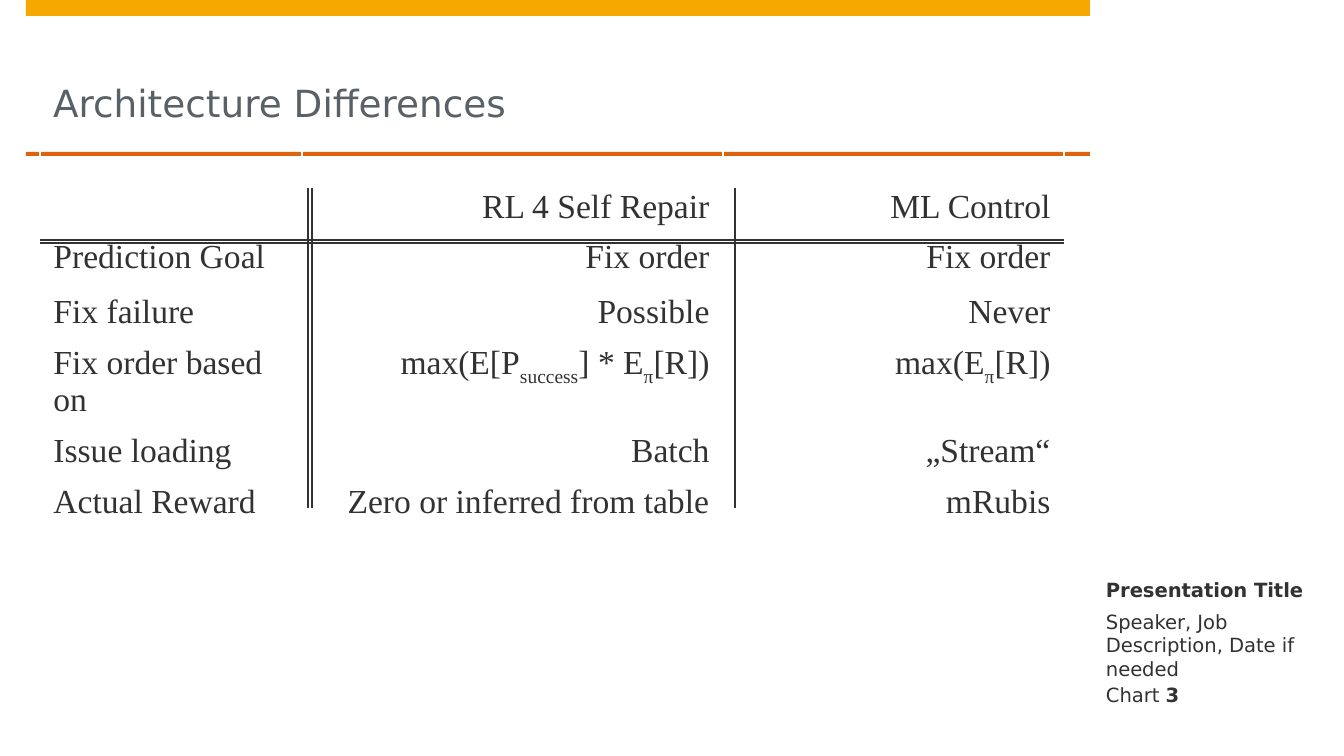
from lxml import etree
from pptx import Presentation
from pptx import util as u
from pptx.dml.color import RGBColor
from pptx.enum import shapes, text
from pptx.oxml.ns import qn

SCALE = 914400 / 134.4  # EMU in one px
COLORS = {"bar": "F6A800", "rule": "DD640C", "title": "5A6166",
          "text": "323232"}
SANS, SERIF = "DejaVu Sans", "Times New Roman"
LEFT, RIGHT = text.PP_ALIGN.LEFT, text.PP_ALIGN.RIGHT
TOP, BOTTOM = text.MSO_ANCHOR.TOP, text.MSO_ANCHOR.BOTTOM

# Parts between underscores are subscripts
ROWS = [
    ("", "RL 4 Self Repair", "ML Control"),
    ("Prediction Goal", "Fix order", "Fix order"),
    ("Fix failure", "Possible", "Never"),
    ("Fix order based on", "max(E[P_success_] * E_π_[R])", "max(E_π_[R])"),
    ("Issue loading", "Batch", "„Stream“"),
    ("Actual Reward", "Zero or inferred from table", "mRubis"),
]
WIDTHS = (262, 421, 341)
HEIGHTS = (88, 55, 51, 88, 51, 51)
GRID_X, GRID_Y = 40, 144


def px(n):
    return u.Emu(round(n * SCALE))


def box(*nums):
    return [px(n) for n in nums]


def rgb(name):
    return RGBColor.from_string(COLORS[name])


def apply(obj, form):
    for key, val in form.items():
        setattr(obj, key, val)


def add_run(para, words, face, size, color="text", bold=False):
    run = para.add_run()
    run.text = words
    apply(run.font, {"name": face, "size": u.Pt(size), "bold": bold})
    run.font.color.rgb = rgb(color)
    return run


def set_frame(frame, left, bottom, anchor):
    apply(frame, {
        "word_wrap": True, "auto_size": text.MSO_AUTO_SIZE.NONE,
        "margin_left": px(left), "margin_top": 0, "margin_right": 0,
        "margin_bottom": px(bottom), "vertical_anchor": anchor})


def add_bar(slide, y, high, color):
    bar = slide.shapes.add_shape(shapes.MSO_SHAPE.RECTANGLE,
                                 *box(26, y, 1064, high))
    bar.shadow.inherit = False
    bar.fill.solid()
    bar.fill.fore_color.rgb = rgb(color)
    bar.line.fill.background()


def set_title(slide, words):
    title = slide.shapes.title
    spots = box(53, 16, 1011, 136)
    apply(title, dict(zip(("left", "top", "width", "height"), spots)))
    set_frame(title.text_frame, 0, 27, BOTTOM)
    para = title.text_frame.paragraphs[0]
    para.alignment = LEFT
    add_run(para, words, SANS, 20, "title")


def add_note(slide, y, high, anchor, *runs):
    frame = slide.shapes.add_textbox(*box(1090, y, 227, high)).text_frame
    set_frame(frame, 16, 0, anchor)
    for words, bold in runs:
        add_run(frame.paragraphs[0], words, SANS, 10.5, bold=bold)


def fill_cell(cell, words, align, anchor):
    cell.fill.background()
    cell.vertical_anchor = anchor
    para = cell.text_frame.paragraphs[0]
    para.alignment = align
    for i, part in enumerate(words.split("_")):
        if part:
            run = add_run(para, part, SERIF, 18)
            if i % 2:
                run.font._element.set("baseline", "-25000")


def add_grid(slide):
    spots = box(GRID_X, GRID_Y, sum(WIDTHS), sum(HEIGHTS))
    table = slide.shapes.add_table(len(ROWS), len(WIDTHS), *spots).table
    apply(table, {"first_row": False, "horz_banding": False})
    for col, wide in zip(table.columns, WIDTHS):
        col.width = px(wide)
    for r, (row, high) in enumerate(zip(ROWS, HEIGHTS)):
        table.rows[r].height = px(high)
        for c, words in enumerate(row):
            fill_cell(table.cell(r, c), words, RIGHT if c else LEFT,
                      TOP if r else BOTTOM)


def add_line(slide, *ends):
    line = slide.shapes.add_connector(shapes.MSO_CONNECTOR.STRAIGHT,
                                      *box(*ends))
    line.line.width = u.Pt(0.75)
    line.line.color.rgb = rgb("text")
    etree.SubElement(line._element.spPr, qn("a:effectLst"))


def main():
    deck = Presentation()
    apply(deck, {"slide_width": px(1344), "slide_height": px(756)})
    slide = deck.slides.add_slide(deck.slide_layouts[5])

    # Frame and heading
    add_bar(slide, 0, 16, "bar")
    add_bar(slide, 152, 4, "rule")
    set_title(slide, "Architecture Differences")

    # Side notes
    add_note(slide, 610, 69, TOP,
             ("Speaker, Job Description, Date if needed", False))
    add_note(slide, 524, 77, BOTTOM, ("Presentation Title", True))
    add_note(slide, 680, 27, BOTTOM, ("Chart ", False), ("3", True))

    # Table with its ruling
    add_grid(slide)
    for x in (308, 312, 735):
        add_line(slide, x, 188, x, 508)
    for y in (240, 243):
        add_line(slide, GRID_X, y, GRID_X + sum(WIDTHS), y)

    deck.save("out.pptx")


if __name__ == "__main__":
    main()
